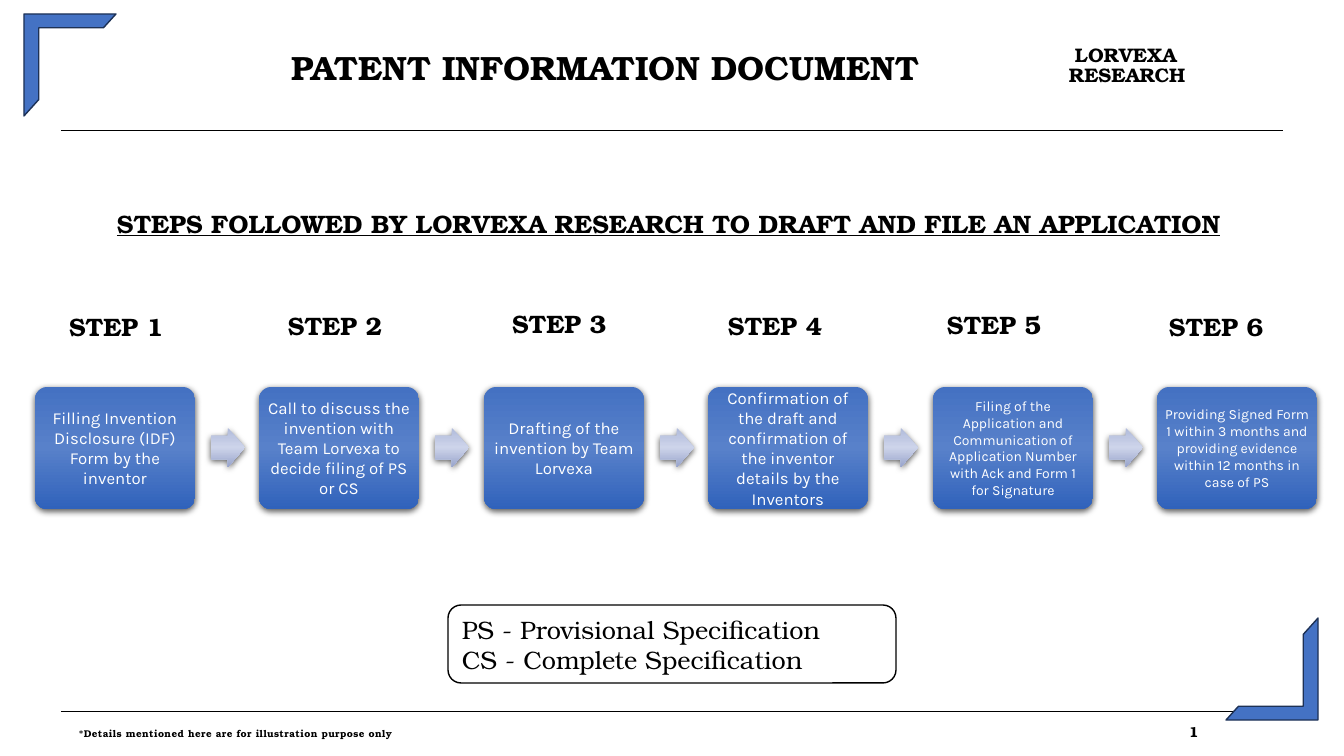
"""Build the patent information slide with its six filing steps."""
import pptx
import pptx.util
import pptx.dml.color
import pptx.enum.shapes
import pptx.enum.text
import pptx.oxml
import pptx.oxml.ns

PX = 12192000 / 1344
Pt = pptx.util.Pt
RGB = pptx.dml.color.RGBColor
KIND = pptx.enum.shapes.MSO_SHAPE
ALIGN = pptx.enum.text.PP_ALIGN
ANCHOR = pptx.enum.text.MSO_ANCHOR
BLACK = RGB(0x00, 0x00, 0x00)
WHITE = RGB(0xFF, 0xFF, 0xFF)
BLUE = RGB(0x44, 0x72, 0xC4)
NAVY = RGB(0x1D, 0x31, 0x55)
DEEP = [RGB(0x44, 0x71, 0xC2), RGB(0x58, 0x81, 0xCA), RGB(0x30, 0x62, 0xBB)]
PALE = [RGB(0xB1, 0xBB, 0xDB), RGB(0xCD, 0xD4, 0xEA), RGB(0x98, 0xA4, 0xCB)]
SERIF = "TeX Gyre Bonum"
NS = pptx.oxml.ns.nsdecls("a")

deck = pptx.Presentation()
deck.slide_width = round(1344 * PX)
deck.slide_height = round(756 * PX)
slide = deck.slides.add_slide(deck.slide_layouts[6])
shapes = slide.shapes


def write(words, at=None, on=None, size=18, font=SERIF, color=BLACK, bold=True, under=False,
          align=ALIGN.LEFT, anchor=ANCHOR.TOP, pad=(0, 0), space=None):
    """Put one paragraph per line of words in a new text box or on a shape."""
    box = on or shapes.add_textbox(*[round(n * PX) for n in at])
    frame = box.text_frame
    frame.word_wrap = True
    frame.vertical_anchor = anchor
    frame.margin_left = frame.margin_right = round(pad[0] * PX)
    frame.margin_top = frame.margin_bottom = round(pad[1] * PX)
    for i, line in enumerate(words.split("\n")):
        para = frame.add_paragraph() if i else frame.paragraphs[0]
        para.alignment = align
        if space:
            para.line_spacing = space
        run = para.add_run()
        run.text = line
        run.font.size = Pt(size)
        run.font.name = font
        run.font.bold = bold
        run.font.underline = under
        run.font.color.rgb = color
    return frame.paragraphs[0]


def draw(kind, at, adjust, fill, edge=None, shade=None):
    """Add a preset shape with a plain fill, or a shaded one with a shadow."""
    shape = shapes.add_shape(kind, *[round(n * PX) for n in at])
    for i, value in enumerate(adjust):
        shape.adjustments[i] = value
    shape.shadow.inherit = False
    if edge is None:
        shape.line.fill.background()
    else:
        shape.line.color.rgb = edge
        shape.line.width = Pt(1)
    if shade is None:
        shape.fill.solid()
        shape.fill.fore_color.rgb = fill
        return shape
    shape.fill.gradient()
    shape.fill.gradient_angle = 270
    props = shape._element.spPr
    stops = props.find(".//" + pptx.oxml.ns.qn("a:gsLst"))
    for stop in list(stops):
        stops.remove(stop)
    for spot, tone in zip((0, 50000, 100000), shade):
        stops.append(pptx.oxml.parse_xml(
            f'<a:gs {NS} pos="{spot}"><a:srgbClr val="{tone}"/></a:gs>'))
    props.find(pptx.oxml.ns.qn("a:effectLst")).append(pptx.oxml.parse_xml(
        f'<a:outerShdw {NS} blurRad="57150" dist="19050" dir="5400000" algn="ctr" rotWithShape="0">'
        '<a:srgbClr val="000000"><a:alpha val="63000"/></a:srgbClr></a:outerShdw>'))
    return shape


for y in (130, 711):
    rule = shapes.add_connector(pptx.enum.shapes.MSO_CONNECTOR.STRAIGHT,
                                *[round(n * PX) for n in (61, y, 1283, y)])
    rule.line.color.rgb = BLACK
    rule.line.width = Pt(0.48)
    rule._element.spPr.append(pptx.oxml.parse_xml(f"<a:effectLst {NS}/>"))

write("PATENT INFORMATION DOCUMENT", at=(156, 54, 898, 35), size=24, align=ALIGN.CENTER, space=0.82)
brand = write("LORVEXA RESEARCH", at=(1068, 46, 121, 43), size=14, space=0.87)
brand._p.get_or_add_pPr().set("marL", str(round(PX)))
brand._p.get_or_add_pPr().set("indent", str(round(6 * PX)))
write("STEPS FOLLOWED BY LORVEXA RESEARCH TO DRAFT AND FILE AN APPLICATION",
      at=(107, 203, 1129, 40), under=True, pad=(10, 5))

steps = [
    (59, 306, 12, "Filling Invention Disclosure (IDF) Form by the inventor"),
    (278, 305, 12, "Call to discuss the invention with Team Lorvexa to decide filing of PS or CS"),
    (502, 303, 12, "Drafting of the invention by Team Lorvexa"),
    (718, 305, 12, "Confirmation of the draft and confirmation of the inventor details by the Inventors"),
    (937, 304, 10, "Filing of the Application and Communication of Application Number "
                   "with Ack and Form 1 for Signature"),
    (1159, 306, 10, "Providing Signed Form 1 within 3 months and providing evidence "
                    "within 12 months in case of PS"),
]
for i, (x, y, size, words) in enumerate(steps):
    left = round(35 + 224.4 * i)
    write(f"STEP {i + 1}", at=(x, y, 131, 40), pad=(10, 5))
    card = draw(KIND.ROUNDED_RECTANGLE, (left, 387, 160, 122), [0.1], None, shade=DEEP)
    write(words, on=card, size=size, font="Karla", color=WHITE, bold=False,
          align=ALIGN.CENTER, anchor=ANCHOR.MIDDLE, pad=(5, 5) if size == 12 else (4, 4))
    if i < len(steps) - 1:
        draw(KIND.RIGHT_ARROW, (left + 176, 428, 34, 39), [0.6, 0.5], None, shade=PALE)

legend = draw(KIND.ROUNDED_RECTANGLE, (448, 605, 448, 78), [0.167], WHITE, edge=BLACK)
write("PS - Provisional Specification\nCS - Complete Specification", on=legend, bold=False, pad=(10, 5))

for x, y, turn in ((24, 14, 0), (1226, 618, 180)):
    corner = draw(KIND.HALF_FRAME, (x, y, 92, 102), [0.15, 0.161], BLUE, edge=NAVY)
    corner.rotation = turn

foot = write("*Details mentioned here are for illustration purpose only\t", at=(79, 726, 1202, 22),
             size=7, space=0.84)
foot._p.get_or_add_pPr().append(pptx.oxml.parse_xml(
    f'<a:tabLst {NS}><a:tab pos="{round(1110 * PX)}" algn="l"/></a:tabLst>'))
page = foot.add_run()
page.text = "1"
page.font.size = Pt(10.5)
page.font.name = SERIF
page.font.bold = True
page.font.color.rgb = BLACK
for run in foot.runs:
    run._r.get_or_add_rPr().set("spc", "30")

deck.save("out.pptx")
